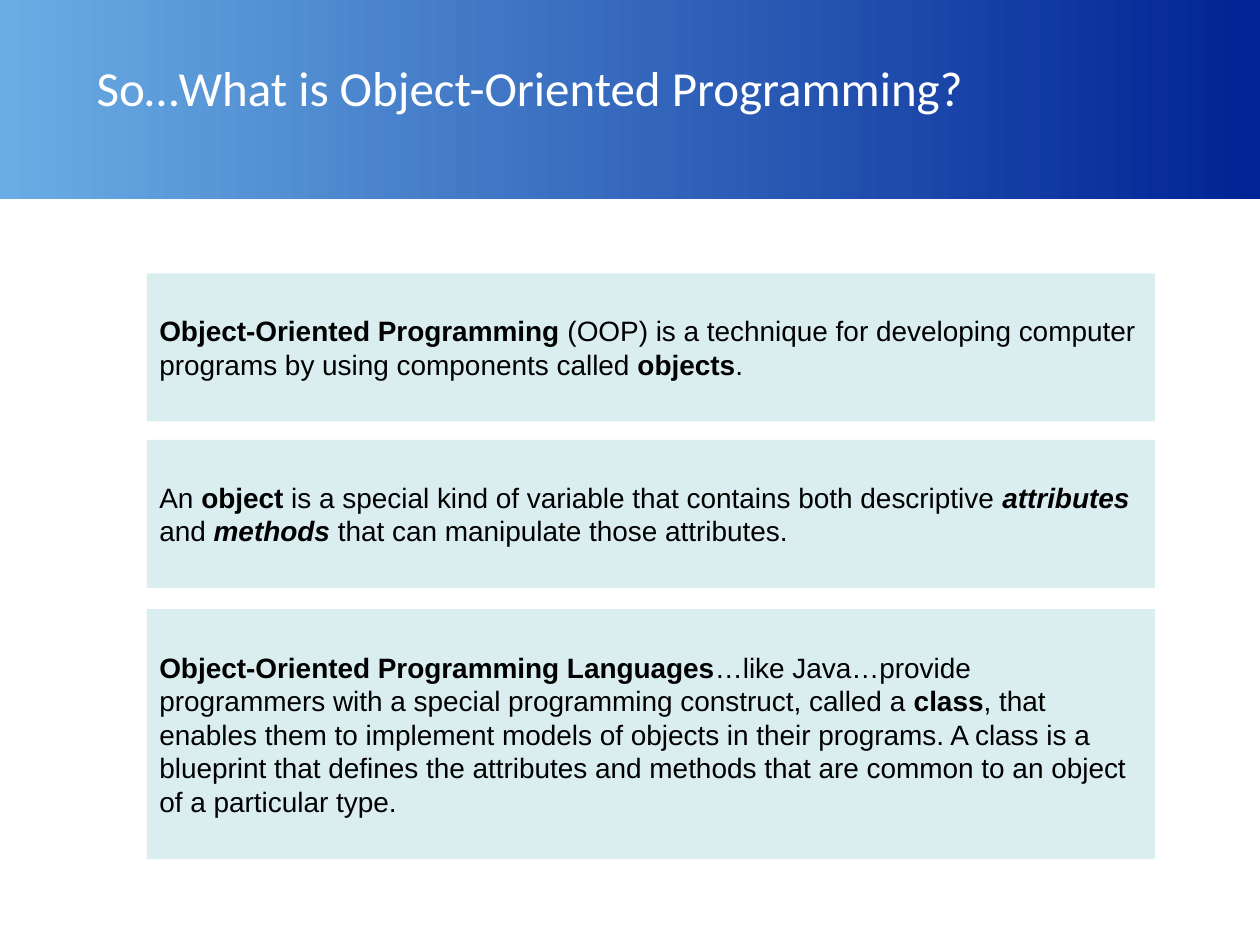
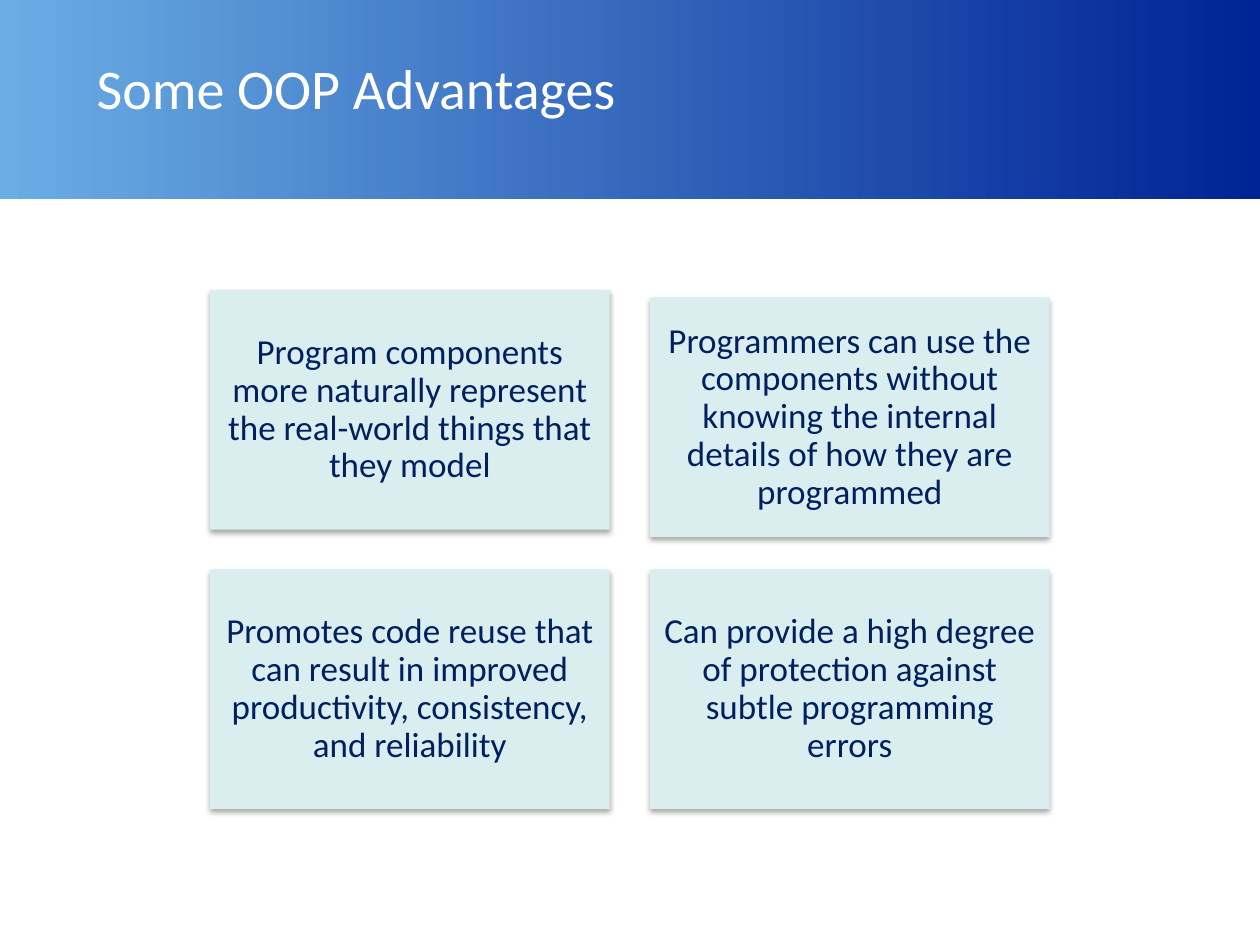
from dataclasses import dataclass

from lxml import etree
from pptx import Presentation
from pptx.dml.color import RGBColor
from pptx.enum.shapes import MSO_SHAPE
from pptx.enum.text import MSO_ANCHOR, MSO_AUTO_SIZE, PP_ALIGN
from pptx.oxml.ns import qn
from pptx.util import Pt

RECT = MSO_SHAPE.RECTANGLE
MIDDLE = MSO_ANCHOR.MIDDLE
NO_FIT = MSO_AUTO_SIZE.NONE
LEFT, CENTER = PP_ALIGN.LEFT, PP_ALIGN.CENTER
TITLE_ONLY = 5


@dataclass(frozen=True)
class Theme:
    band_start: RGBColor = RGBColor.from_string("6AADE4")
    band_end: RGBColor = RGBColor.from_string("002395")
    title: RGBColor = RGBColor.from_string("FFFFFF")
    panel: RGBColor = RGBColor.from_string("DAEDEF")
    body: RGBColor = RGBColor.from_string("000000")
    card_text: RGBColor = RGBColor.from_string("002060")
    title_font: str = "Calibri"
    body_font: str = "Arial"
    long_title_size: int = 28
    title_size: int = 32
    body_size: int = 16
    card_size: int = 20


class Deck:
    def __init__(self, theme):
        self.theme = theme
        self.prs = Presentation()
        self.prs.slide_width, self.prs.slide_height = Pt(720), Pt(540)
        self.layout = self.prs.slide_layouts[TITLE_ONLY]
        self.s = None

    def slide(self, title, size):
        first = self.s is None
        self.s = self.prs.slides.add_slide(self.layout)
        if first:
            self.band()
        sp = self.s.shapes.title
        sp.left, sp.top, sp.width, sp.height = Pt(48), Pt(27.4), Pt(648), Pt(44.6)
        tf = sp.text_frame
        tf.text = title
        tf.word_wrap, tf.auto_size, tf.vertical_anchor = True, NO_FIT, MIDDLE
        p = tf.paragraphs[0]
        p.alignment = LEFT
        self.font(p.runs[0], self.theme.title_font, size, self.theme.title)

    def band(self):
        """Put the gradient band on the layout, behind every title."""
        sp = self.s.shapes.add_shape(RECT, 0, 0, Pt(720), Pt(113.8))
        sp.shadow.inherit = False
        sp.line.fill.background()
        sp.fill.gradient()
        sp.fill.gradient_angle = 0
        colors = (self.theme.band_start, self.theme.band_end)
        for position, (stop, color) in enumerate(zip(sp.fill.gradient_stops, colors)):
            stop.position = position
            stop.color.rgb = color
        self.layout.shapes._spTree.insert(2, sp._element)

    def box(self, left, top, width, height):
        sp = self.s.shapes.add_shape(RECT, Pt(left), Pt(top), Pt(width), Pt(height))
        sp.shadow.inherit = False
        sp.fill.solid()
        sp.fill.fore_color.rgb = self.theme.panel
        sp.line.fill.background()
        sp.text_frame.word_wrap = True
        sp.text_frame.vertical_anchor = MIDDLE
        return sp

    def panel(self, top, height, parts):
        """Add a wide text panel; parts are (text, style), style from "b" and "i"."""
        p = self.box(84, top, 576, height).text_frame.paragraphs[0]
        p.alignment = LEFT
        for text, style in parts:
            r = p.add_run()
            r.text = text
            self.font(r, self.theme.body_font, self.theme.body_size, self.theme.body)
            r.font.bold, r.font.italic = "b" in style, "i" in style

    def card(self, left, top, text):
        sp = self.box(left, top, 228.4, 137)
        self.drop_shadow(sp)
        tf = sp.text_frame
        tf.margin_left = tf.margin_right = tf.margin_top = tf.margin_bottom = Pt(6)
        tf.text = text
        p = tf.paragraphs[0]
        p.alignment, p.line_spacing = CENTER, 0.9
        self.font(p.runs[0], self.theme.title_font, self.theme.card_size,
                  self.theme.card_text)

    @staticmethod
    def drop_shadow(sp):
        effects = sp._element.spPr.find(qn("a:effectLst"))
        shadow = etree.SubElement(
            effects, qn("a:outerShdw"), blurRad=str(Pt(3.1)), dist=str(Pt(1.8)),
            dir="5400000", rotWithShape="0")
        color = etree.SubElement(shadow, qn("a:srgbClr"), val="000000")
        etree.SubElement(color, qn("a:alpha"), val="35000")

    @staticmethod
    def font(r, name, size, color):
        r.font.name, r.font.size = name, Pt(size)
        r.font.color.rgb = color


PANELS = [
    (156.2, 84.6, [
        ("Object-Oriented Programming ", "b"),
        ("(OOP) is a technique for developing computer programs by using "
         "components called ", ""),
        ("objects", "b"), (".", "")]),
    (251.4, 84.6, [
        ("An ", ""), ("object", "b"),
        (" is a special kind of variable that contains both descriptive ", ""),
        ("attributes", "bi"), (" and ", ""), ("methods", "bi"),
        (" that can manipulate those attributes.", "")]),
    (348, 143, [
        ("Object-Oriented Programming Languages", "b"),
        ("…like Java…provide programmers with a special programming construct, "
         "called a ", ""),
        ("class", "b"),
        (", that enables them to implement models of objects in their programs. "
         "A class is a blueprint that defines the attributes and methods that are "
         "common to an object of a particular type.", "")]),
]

CARD_COLUMNS = (120, 371.4)
CARD_TOPS = ((165.7, 170), (325.4, 325.4))
ADVANTAGES = (
    ("Program components more naturally represent the real-world things that they model",
     "Programmers can use the components without knowing the internal details of how "
     "they are programmed"),
    ("Promotes code reuse that can result in improved productivity, consistency, "
     "and reliability",
     "Can provide a high degree of protection against subtle programming errors"),
)


def main():
    theme = Theme()
    deck = Deck(theme)

    deck.slide("So…What is Object-Oriented Programming?", theme.long_title_size)
    for top, height, parts in PANELS:
        deck.panel(top, height, parts)

    deck.slide("Some OOP Advantages", theme.title_size)
    for tops, texts in zip(CARD_TOPS, ADVANTAGES):
        for left, top, text in zip(CARD_COLUMNS, tops, texts):
            deck.card(left, top, text)

    deck.prs.save("out.pptx")


if __name__ == "__main__":
    main()
